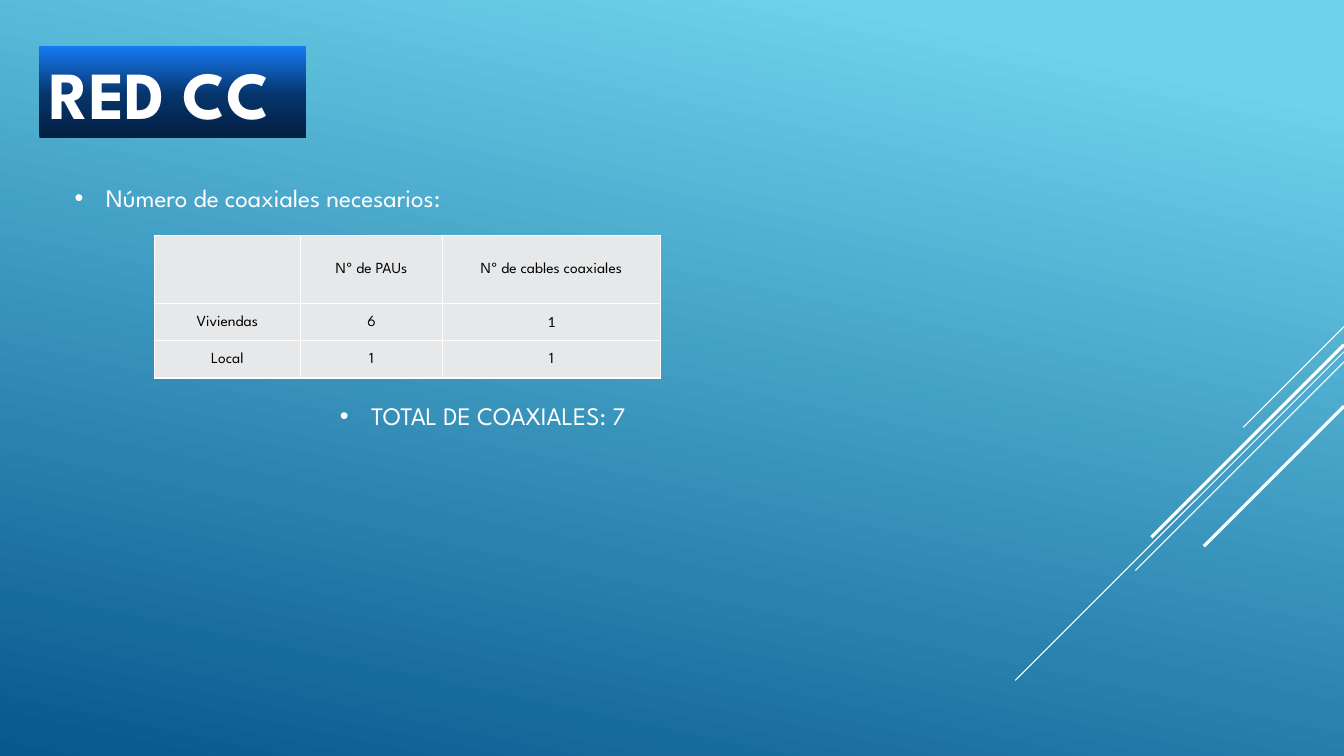
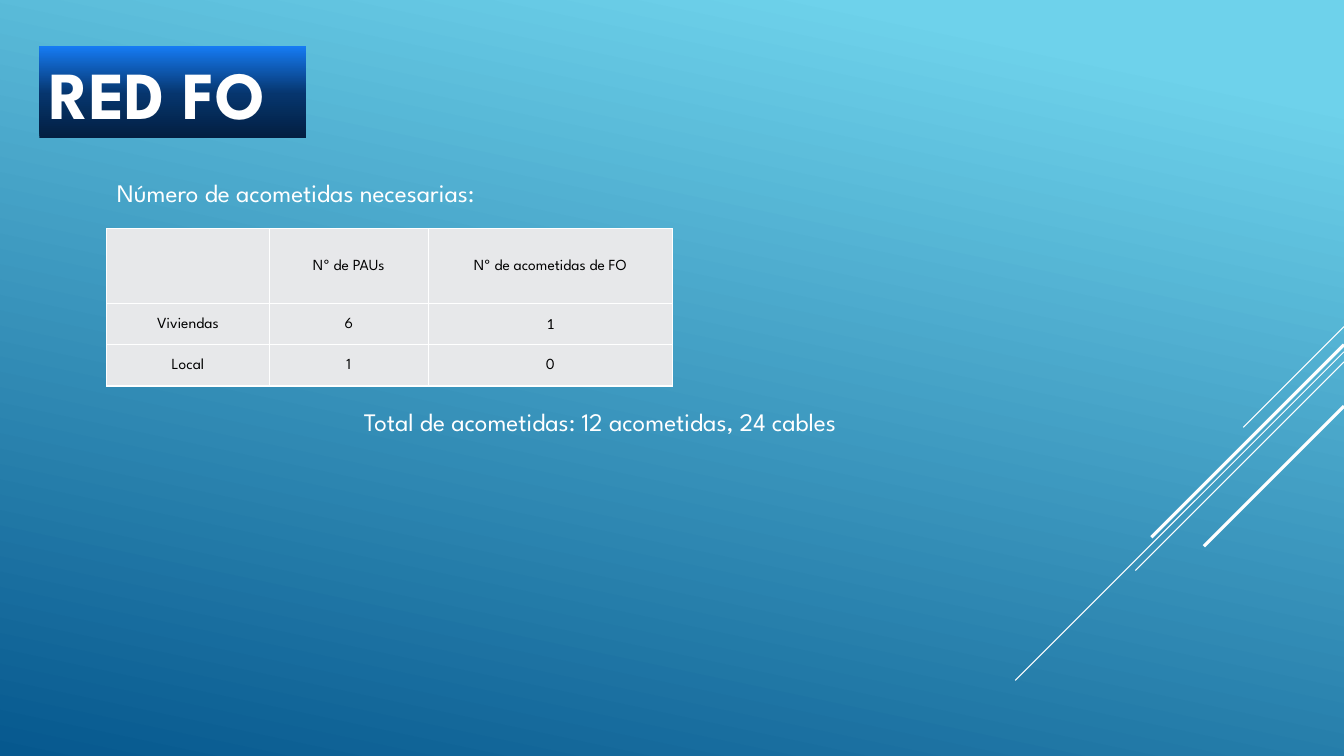
import pptx
import pptx.util
import pptx.dml.color
import pptx.enum.shapes
import pptx.enum.text
import pptx.oxml.ns
import lxml.etree

Inches, Pt = pptx.util.Inches, pptx.util.Pt
qn = pptx.oxml.ns.qn
Align, Anchor = pptx.enum.text.PP_ALIGN, pptx.enum.text.MSO_ANCHOR

# Shared look
WIDE, HIGH = 13.33, 7.5
FONT, WHITE, BLACK, GREY = "League Spartan", "FFFFFF", "000000", "E7E8EA"
SKY = [(10, "6ED2EB"), (100, "06588E")]
BAND = [(0, "031F41"), (48, "06356D"), (100, "167BF3")]
BAND_BOX = (0.39, 0.46, 2.65, 0.91)
INDENT = 0.31
# Diagonals from the right edge: start height, run, line width
RAYS = [(3.24, 1, 0.75), (3.49, 3.26, 0.75), (3.59, 2.07, 0.75),
        (3.42, 1.91, 2.25), (4.03, 1.39, 2.25)]


def color(code):
    return pptx.dml.color.RGBColor.from_string(code)


def node(parent, tag, **attrs):
    return lxml.etree.SubElement(parent, qn(tag), **attrs)


def blend(fill, root, stops, angle):
    """Gradient with any number of stops; angle is counter-clockwise."""
    fill.gradient()
    fill.gradient_angle = angle
    stop_list = root.find(".//" + qn("a:gsLst"))
    for old in list(stop_list):
        stop_list.remove(old)
    for place, code in stops:
        stop = node(stop_list, "a:gs", pos=str(place * 1000))
        node(stop, "a:srgbClr", val=code)


def place(shape, left, top, width, height):
    shape.left, shape.top = Inches(left), Inches(top)
    shape.width, shape.height = Inches(width), Inches(height)


def write(frame, text, size=18, font=FONT, ink=WHITE, bold=False,
          align=Align.LEFT, anchor=Anchor.TOP):
    frame.word_wrap = True
    frame.vertical_anchor = anchor
    para = frame.paragraphs[0]
    para.alignment = align
    para.space_before = Pt(0)
    run = para.add_run()
    run.text = text
    run.font.size, run.font.name, run.font.bold = Pt(size), font, bold
    run.font.color.rgb = color(ink)
    return para


# Layout: background and diagonals
def rays(slide, layout):
    for num, (top, reach, width) in enumerate(RAYS):
        ray = slide.shapes.add_connector(
            pptx.enum.shapes.MSO_CONNECTOR.STRAIGHT, Inches(WIDE), Inches(top),
            Inches(WIDE - reach), Inches(top + reach))
        ray.line.color.rgb = color(WHITE)
        ray.line.width = Pt(width)
        node(ray.element.find(qn("p:spPr")), "a:effectLst")
        ray.element.find(".//" + qn("p:cNvPr")).set("id", str(100 + num))
        layout.shapes.element.append(ray.element)


# Slide parts
def title(slide, text):
    band = slide.shapes.title
    place(band, *BAND_BOX)
    blend(band.fill, band.element, BAND, 90)
    band.text_frame.auto_size = pptx.enum.text.MSO_AUTO_SIZE.NONE
    write(band.text_frame, text, size=48, bold=True, anchor=Anchor.MIDDLE)


def note(slide, slot, text, box, bullet):
    body = slide.placeholders[slot]
    place(body, *box)
    body.text_frame.auto_size = pptx.enum.text.MSO_AUTO_SIZE.NONE
    props = write(body.text_frame, text)._p.get_or_add_pPr()
    indent = Inches(INDENT) if bullet else 0
    props.set("marL", str(indent))
    props.set("indent", str(-indent))
    if bullet:
        node(props, "a:buFont", typeface="Arial")
        node(props, "a:buChar", char="•")
    else:
        node(props, "a:buNone")


def border(cell):
    props = cell._tc.get_or_add_tcPr()
    for side in ("a:lnL", "a:lnR", "a:lnT", "a:lnB"):
        line = node(props, side, w=str(Pt(1)))
        node(node(line, "a:solidFill"), "a:srgbClr", val=WHITE)


def table(slide, left, top, cols, rows, data):
    grid = slide.shapes.add_table(
        len(rows), len(cols), Inches(left), Inches(top),
        Inches(sum(cols)), Inches(sum(rows))).table
    grid.first_row = grid.horz_banding = False
    for col, width in zip(grid.columns, cols):
        col.width = Inches(width)
    for row, height in zip(grid.rows, rows):
        row.height = Inches(height)
    for r, line in enumerate(data):
        for c, text in enumerate(line):
            cell = grid.cell(r, c)
            border(cell)
            cell.fill.solid()
            cell.fill.fore_color.rgb = color(GREY)
            cell.margin_left = cell.margin_right = Inches(0.01)
            cell.margin_top, cell.margin_bottom = Inches(0.01), 0
            cell.vertical_anchor = Anchor.MIDDLE
            if text:
                font = "Calibri" if (r, c) == (1, 2) else FONT
                write(cell.text_frame, text, size=11, font=font, ink=BLACK,
                      align=Align.CENTER, anchor=Anchor.MIDDLE)


def main():
    deck = pptx.Presentation()
    deck.slide_width, deck.slide_height = Inches(WIDE), Inches(HIGH)
    layout = deck.slide_layouts.get_by_name("Two Content")
    blend(layout.background.fill, layout.element, SKY, 258)

    # Coaxial network
    coax = deck.slides.add_slide(layout)
    rays(coax, layout)
    title(coax, "RED CC")
    table(coax, 1.53, 2.34, [1.45, 1.41, 2.16], [0.67, 0.37, 0.37],
          [["", "Nº de PAUs", "Nº de cables coaxiales"],
           ["Viviendas", "6", "1"],
           ["Local", "1", "1"]])
    note(coax, 1, "Número de coaxiales necesarios:",
         (0.64, 1.76, 6.79, 0.4), True)
    note(coax, 2, "TOTAL DE COAXIALES: 7", (3.27, 3.92, 6.79, 0.4), True)

    # Fibre network
    fibre = deck.slides.add_slide(layout)
    title(fibre, "RED FO")
    table(fibre, 1.06, 2.27, [1.61, 1.58, 2.42], [0.74, 0.41, 0.41],
          [["", "Nº de PAUs", "Nº de acometidas de FO"],
           ["Viviendas", "6", "1"],
           ["Local", "1", "0"]])
    note(fibre, 1, "Número de acometidas necesarias:",
         (1.06, 1.71, 4.91, 0.4), False)
    note(fibre, 2, "Total de acometidas: 12 acometidas, 24 cables",
         (3.51, 3.98, 6.17, 0.4), False)

    deck.save("out.pptx")


if __name__ == "__main__":
    main()
